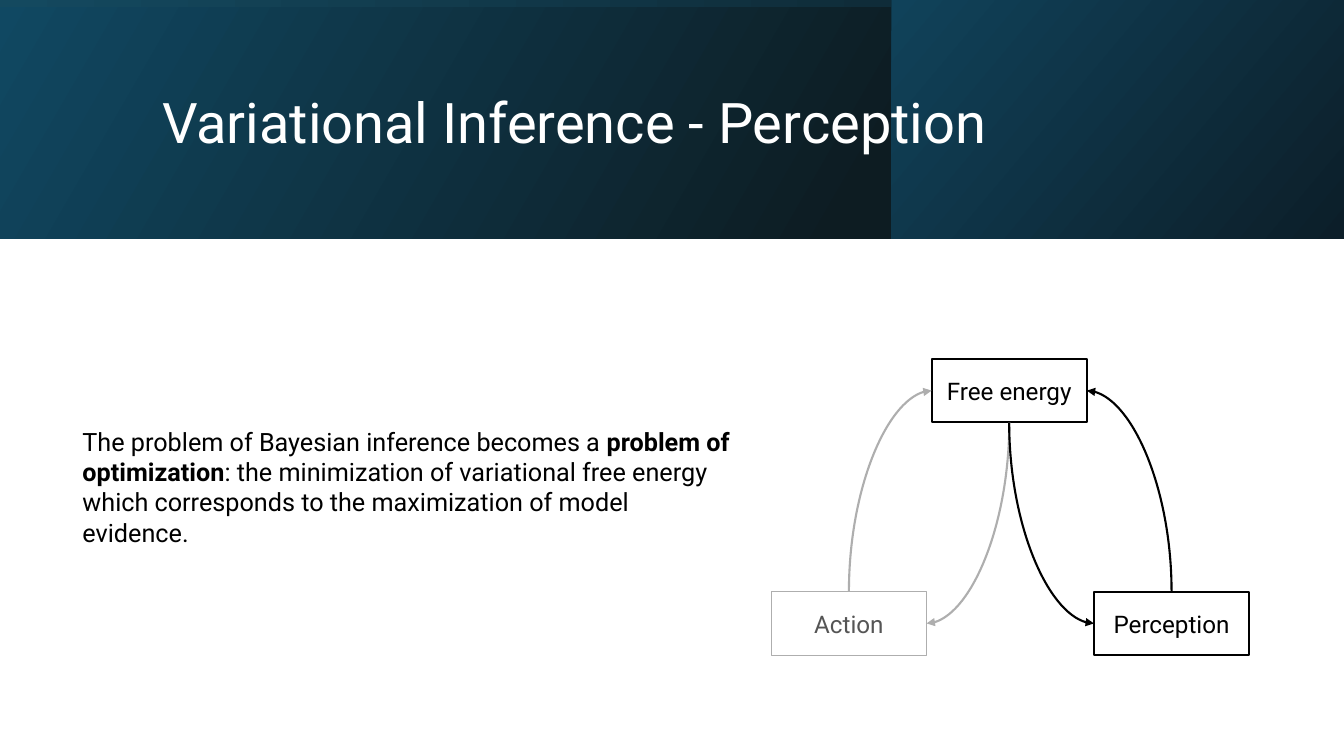
from dataclasses import dataclass

from lxml.etree import SubElement
from pptx import Presentation
from pptx.dml.color import RGBColor
from pptx.enum.shapes import MSO_CONNECTOR, MSO_SHAPE
from pptx.enum.text import MSO_ANCHOR, PP_ALIGN
from pptx.oxml.ns import qn
from pptx.util import Inches, Pt

TOP, LEFT, BOTTOM, RIGHT = range(4)


@dataclass(frozen=True)
class Theme:
    """Colours, font and type sizes of the slide."""
    font: str = "Roboto"
    white: str = "FFFFFF"
    black: str = "000000"
    muted_line: str = "AEAEAE"
    muted_text: str = "555555"
    band: tuple = ("104862", "0D1C22")
    panel: tuple = ("10425A", "0C1E29")
    strip: tuple = ("14495F", "0F2C39")
    title_size: float = 40
    body_size: float = 18
    label_size: float = 17.3
    line_width: float = 1.5
    thin_line_width: float = 0.75


THEME = Theme()


def style_font(paragraph, size, color):
    """Set the font of a whole paragraph."""
    paragraph.font.name = THEME.font
    paragraph.font.size = Pt(size)
    paragraph.font.color.rgb = RGBColor.from_string(color)


def add_gradient(slide, left, top, width, height, colors, angle, end=1.0):
    """Add a borderless rectangle with a two-stop linear gradient."""
    shape = slide.shapes.add_shape(
        MSO_SHAPE.RECTANGLE, Inches(left), Inches(top), Inches(width), Inches(height))
    shape.shadow.inherit = False
    shape.line.fill.background()
    shape.fill.gradient()
    shape.fill.gradient_angle = angle
    for stop, color, position in zip(shape.fill.gradient_stops, colors, (0, end)):
        stop.color.rgb = RGBColor.from_string(color)
        stop.position = position


def add_text_box(slide, left, top, width, height):
    """Add a wrapping text box and return its text frame."""
    box = slide.shapes.add_textbox(Inches(left), Inches(top), Inches(width), Inches(height))
    box.text_frame.word_wrap = True
    return box.text_frame


def add_header(slide, left, top, width, height):
    """Build the gradient band with the slide title."""
    panel_width = 4.49
    add_gradient(slide, left, top, width, height, THEME.band, 330, 0.66)
    add_gradient(slide, left + width - panel_width, top, panel_width, height,
                 THEME.panel, 320)
    add_gradient(slide, left, top, width - panel_width, 0.07, THEME.strip, 0)
    frame = add_text_box(slide, left + 1.51, top + 0.38, 10.63, 1.72)
    frame.vertical_anchor = MSO_ANCHOR.MIDDLE
    paragraph = frame.paragraphs[0]
    paragraph.text = "Variational Inference - Perception"
    paragraph.line_spacing = 0.9
    style_font(paragraph, THEME.title_size, THEME.white)


def add_body(slide, left, top, width, height):
    """Build the explanatory paragraph with its bold phrase."""
    paragraph = add_text_box(slide, left, top, width, height).paragraphs[0]
    style_font(paragraph, THEME.body_size, THEME.black)
    paragraph.add_run().text = "The problem of Bayesian inference becomes a "
    phrase = paragraph.add_run()
    phrase.text = "problem of optimization"
    phrase.font.bold = True
    paragraph.add_run().text = (
        ": the minimization of variational free energy which corresponds "
        "to the maximization of model evidence.")


def add_node(slide, left, top, label, line_color, line_width, text_color):
    """Add one labelled box of the diagram."""
    node = slide.shapes.add_shape(
        MSO_SHAPE.RECTANGLE, Inches(left), Inches(top), Inches(1.54), Inches(0.63))
    node.shadow.inherit = False
    node.fill.background()
    node.line.color.rgb = RGBColor.from_string(line_color)
    node.line.width = Pt(line_width)
    node.text_frame.vertical_anchor = MSO_ANCHOR.MIDDLE
    paragraph = node.text_frame.paragraphs[0]
    paragraph.text = label
    paragraph.alignment = PP_ALIGN.CENTER
    style_font(paragraph, THEME.label_size, text_color)
    return node


def add_curve(slide, target, target_side, source, source_side, color):
    """Join two boxes by a quarter curve with its arrowhead at the target."""
    curve = slide.shapes.add_connector(MSO_CONNECTOR.CURVE, 0, 0, 0, 0)
    curve.begin_connect(target, target_side)
    curve.end_connect(source, source_side)
    curve.line.color.rgb = RGBColor.from_string(color)
    curve.line.width = Pt(THEME.line_width)
    properties = curve.element.spPr
    properties.find(qn("a:prstGeom")).set("prst", "curvedConnector2")
    SubElement(properties.find(qn("a:ln")), qn("a:headEnd"), type="triangle")
    SubElement(properties, qn("a:effectLst"))


def add_diagram(slide, left, top):
    """Build the loops between free energy, action and perception."""
    lower_top = top + 2.31
    energy = add_node(slide, left + 1.59, top, "Free energy",
                      THEME.black, THEME.line_width, THEME.black)
    action = add_node(slide, left, lower_top, "Action",
                      THEME.muted_line, THEME.thin_line_width, THEME.muted_text)
    perception = add_node(slide, left + 3.2, lower_top, "Perception",
                          THEME.black, THEME.line_width, THEME.black)
    for node, outer, inner, color in (
            (action, LEFT, RIGHT, THEME.muted_line),
            (perception, RIGHT, LEFT, THEME.black)):
        add_curve(slide, energy, outer, node, TOP, color)
        add_curve(slide, node, inner, energy, BOTTOM, color)


def main():
    """Create the presentation and save it."""
    presentation = Presentation()
    presentation.slide_width = Inches(13.33)
    presentation.slide_height = Inches(7.5)
    slide = presentation.slides.add_slide(presentation.slide_layouts[6])
    add_header(slide, 0, 0, 13.33, 2.37)
    add_diagram(slide, 7.65, 3.56)
    add_body(slide, 0.72, 4.18, 6.66, 1.3)
    presentation.save("out.pptx")


if __name__ == "__main__":
    main()
